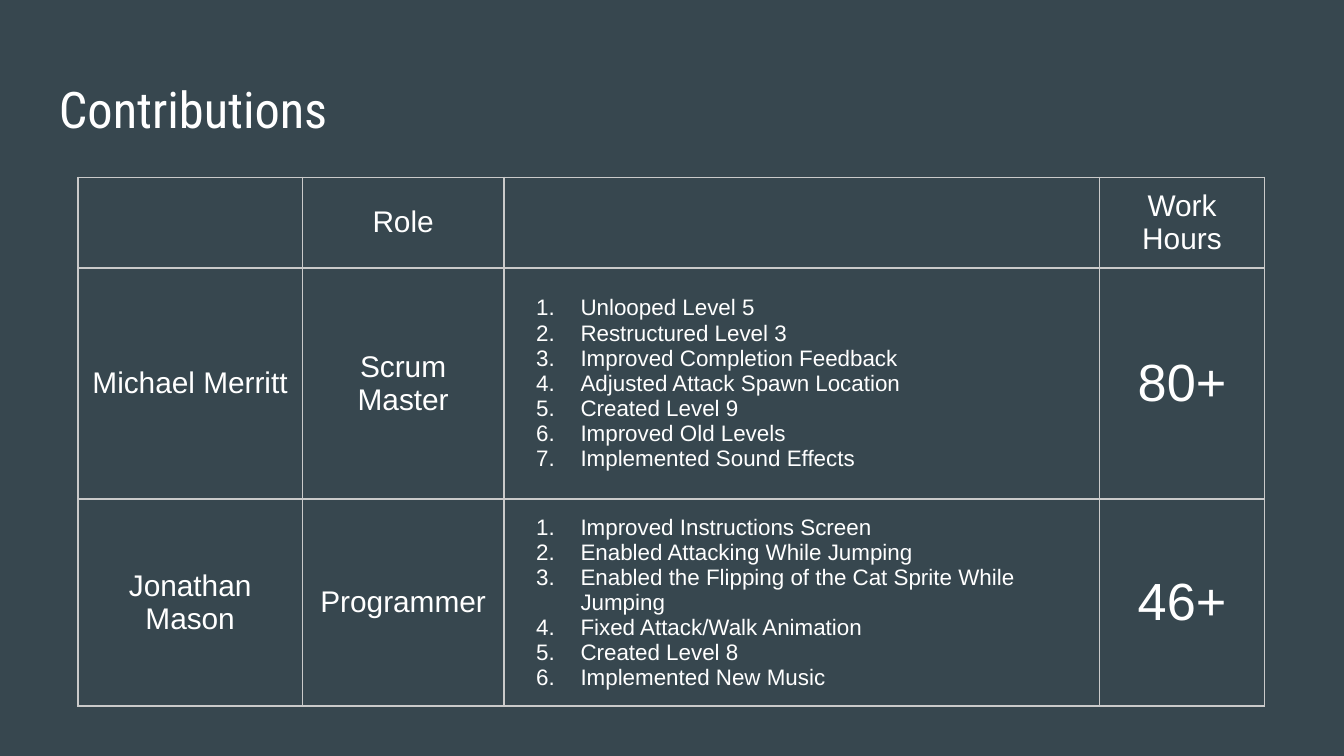
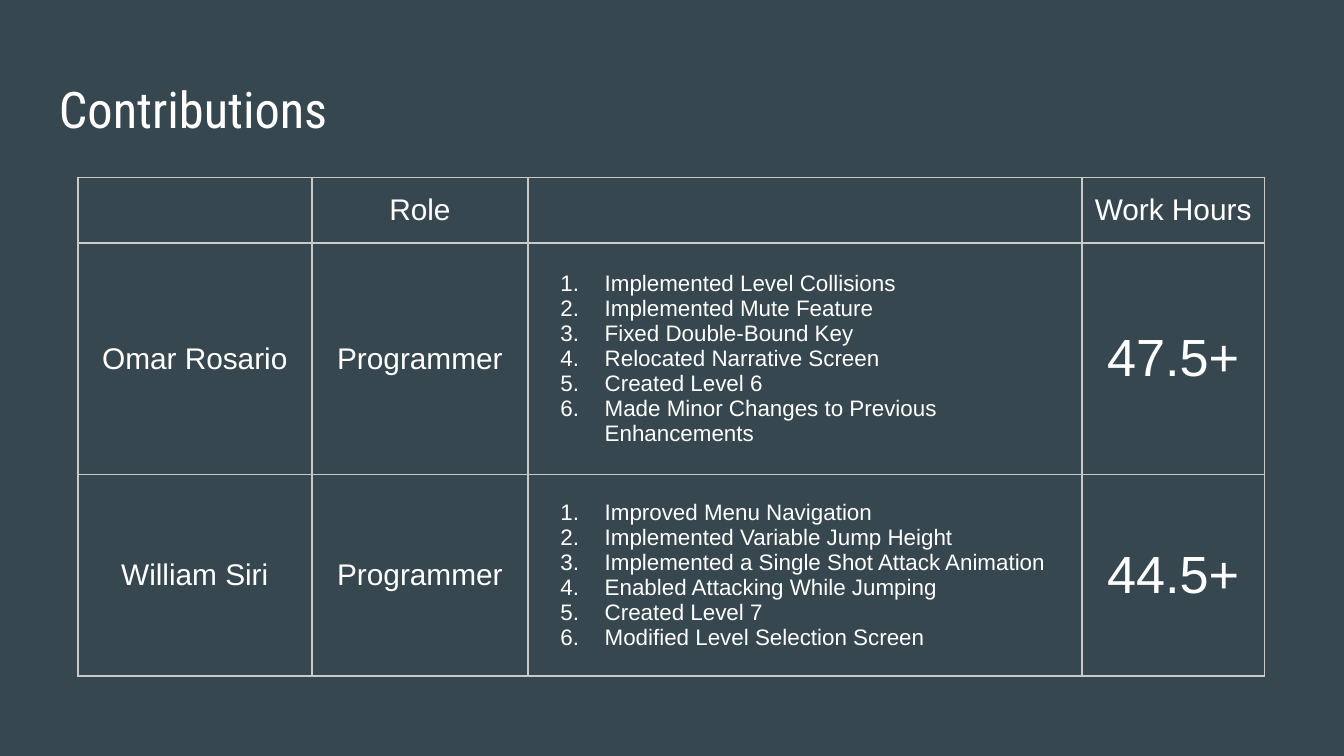
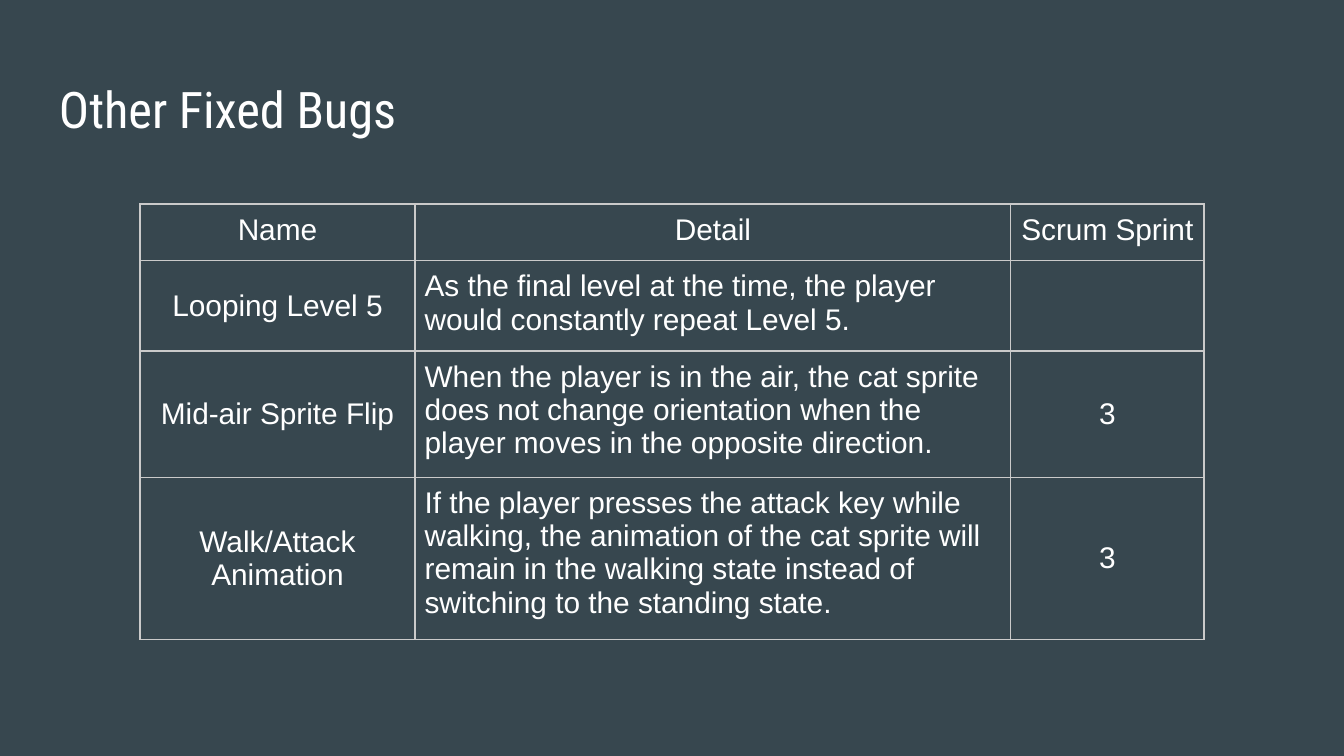
from dataclasses import dataclass

from lxml.etree import SubElement
from pptx import Presentation
from pptx.dml.color import RGBColor
from pptx.enum.text import MSO_ANCHOR, PP_ALIGN
from pptx.oxml.ns import qn
from pptx.util import Inches, Pt

# Shared look
SLIDE_WIDTH = Inches(10)
SLIDE_HEIGHT = Inches(10 * 9 / 16)
SLATE = RGBColor(0x37, 0x47, 0x4F)
WHITE = RGBColor(0xFF, 0xFF, 0xFF)
BORDER_GREY = RGBColor(0xCA, 0xCA, 0xCA)
TITLE_FONT = "Roboto Condensed"
BODY_FONT = "Arial"
TITLE_SIZE, BODY_SIZE, LIST_SIZE, HOURS_SIZE = 27, 16, 12, 28
BORDER_WIDTH = Pt(1)
TITLE_INSET = Inches(0.1)
CELL_INSET = Inches(0.07)
LIST_INDENT = Inches(0.5)
NUMBER_HANG = Inches(-0.33)


@dataclass
class Entry:
    """Content and style of one table cell."""
    lines: tuple[str, ...] = ()
    size: int = BODY_SIZE
    align: PP_ALIGN = PP_ALIGN.CENTER
    anchor: MSO_ANCHOR = MSO_ANCHOR.MIDDLE
    numbered: bool = False


@dataclass
class TablePage:
    title: str
    left: float
    top: float
    columns: tuple[float, ...]
    rows: tuple[float, ...]
    entries: list[list[Entry]]


@dataclass
class Member:
    name: str
    role: str
    tasks: tuple[str, ...]
    hours: str


@dataclass
class Bug:
    name: str
    detail: str
    sprint: str = ""


def label(text: str, size: int = BODY_SIZE) -> Entry:
    return Entry((text,), size)


def contributions(columns: tuple[float, ...], members: list[Member]) -> TablePage:
    header = [Entry(), label("Role"), Entry(), label("Work Hours")]
    body = [
        [
            label(member.name),
            label(member.role),
            Entry(member.tasks, LIST_SIZE, PP_ALIGN.LEFT, numbered=True),
            label(member.hours, HOURS_SIZE),
        ]
        for member in members
    ]
    return TablePage("Contributions", 0.58, 1.32, columns, (0.49, 1.72, 1.5), [header, *body])


def fixed_bugs(bugs: list[Bug]) -> TablePage:
    header = [Entry((name,), anchor=MSO_ANCHOR.TOP) for name in ("Name", "Detail", "Scrum Sprint")]
    body = [
        [
            label(bug.name),
            Entry((bug.detail,), align=PP_ALIGN.LEFT, anchor=MSO_ANCHOR.TOP),
            label(bug.sprint) if bug.sprint else Entry(),
        ]
        for bug in bugs
    ]
    entries = [header, *body]
    return TablePage("Other Fixed Bugs", 1.04, 1.52, (2.05, 4.43, 1.44), (0.42,) * len(entries), entries)


def style_font(para, name: str, size: int) -> None:
    para.font.name = name
    para.font.size = Pt(size)
    para.font.color.rgb = WHITE
    # Row heights are measured with the font of the run
    for span in para.runs:
        span.font.name = name


def add_number(para) -> None:
    properties = para._p.get_or_add_pPr()
    properties.set("marL", str(LIST_INDENT))
    properties.set("indent", str(NUMBER_HANG))
    color = SubElement(properties, qn("a:buClr"))
    SubElement(color, qn("a:srgbClr"), val=str(WHITE))
    SubElement(properties, qn("a:buAutoNum"), type="arabicPeriod")


def add_borders(cell) -> None:
    properties = cell._tc.get_or_add_tcPr()
    for side in ("lnL", "lnR", "lnT", "lnB"):
        line = SubElement(properties, qn(f"a:{side}"), w=str(BORDER_WIDTH))
        fill = SubElement(line, qn("a:solidFill"))
        SubElement(fill, qn("a:srgbClr"), val=str(BORDER_GREY))


def fill_cell(cell, entry: Entry) -> None:
    add_borders(cell)
    cell.fill.background()
    cell.margin_left = cell.margin_right = CELL_INSET
    cell.margin_top = cell.margin_bottom = CELL_INSET
    cell.vertical_anchor = entry.anchor
    frame = cell.text_frame
    for index, line in enumerate(entry.lines):
        para = frame.add_paragraph() if index else frame.paragraphs[0]
        para.text = line
        para.alignment = entry.align
        if entry.numbered:
            add_number(para)
        style_font(para, BODY_FONT, entry.size)


def add_title(page, title: str) -> None:
    box = page.shapes.add_textbox(Inches(0.34), Inches(0.49), Inches(9.32), Inches(0.63))
    frame = box.text_frame
    frame.word_wrap = True
    frame.vertical_anchor = MSO_ANCHOR.MIDDLE
    frame.margin_left = frame.margin_right = TITLE_INSET
    frame.margin_top = frame.margin_bottom = TITLE_INSET
    para = frame.paragraphs[0]
    para.text = title
    style_font(para, TITLE_FONT, TITLE_SIZE)


def add_table_page(deck, content: TablePage) -> None:
    page = deck.slides.add_slide(deck.slide_layouts[6])
    background = page.background.fill
    background.solid()
    background.fore_color.rgb = SLATE
    add_title(page, content.title)
    table = page.shapes.add_table(
        len(content.rows), len(content.columns),
        Inches(content.left), Inches(content.top),
        Inches(sum(content.columns)), Inches(sum(content.rows)),
    ).table
    table.first_row = table.horz_banding = False
    for column, width in zip(table.columns, content.columns):
        column.width = Inches(width)
    for row, height, entries in zip(table.rows, content.rows, content.entries):
        row.height = Inches(height)
        for cell, entry in zip(row.cells, entries):
            fill_cell(cell, entry)


# Content
PAGES = [
    contributions((1.67, 1.5, 4.43, 1.23), [
        Member("Michael Merritt", "Scrum Master", (
            "Unlooped Level 5",
            "Restructured Level 3",
            "Improved Completion Feedback",
            "Adjusted Attack Spawn Location",
            "Created Level 9",
            "Improved Old Levels",
            "Implemented Sound Effects",
        ), "80+"),
        Member("Jonathan Mason", "Programmer", (
            "Improved Instructions Screen",
            "Enabled Attacking While Jumping",
            "Enabled the Flipping of the Cat Sprite While Jumping",
            "Fixed Attack/Walk Animation",
            "Created Level 8",
            "Implemented New Music",
        ), "46+"),
    ]),
    contributions((1.74, 1.61, 4.12, 1.36), [
        Member("Omar Rosario", "Programmer", (
            "Implemented Level Collisions",
            "Implemented Mute Feature",
            "Fixed Double-Bound Key",
            "Relocated Narrative Screen",
            "Created Level 6",
            "Made Minor Changes to Previous Enhancements",
        ), "47.5+"),
        Member("William Siri", "Programmer", (
            "Improved Menu Navigation",
            "Implemented Variable Jump Height",
            "Implemented a Single Shot Attack Animation",
            "Enabled Attacking While Jumping",
            "Created Level 7",
            "Modified Level Selection Screen",
        ), "44.5+"),
    ]),
    fixed_bugs([
        Bug("Looping Level 5",
            "As the final level at the time, the player would constantly repeat Level 5."),
        Bug("Mid-air Sprite Flip",
            "When the player is in the air, the cat sprite does not change orientation "
            "when the player moves in the opposite direction.", "3"),
        Bug("Walk/Attack Animation",
            "If the player presses the attack key while walking, the animation of the cat sprite "
            "will remain in the walking state instead of switching to the standing state.", "3"),
    ]),
]


def main() -> None:
    deck = Presentation()
    deck.slide_width, deck.slide_height = SLIDE_WIDTH, SLIDE_HEIGHT
    for content in PAGES:
        add_table_page(deck, content)
    deck.save("out.pptx")


if __name__ == "__main__":
    main()
